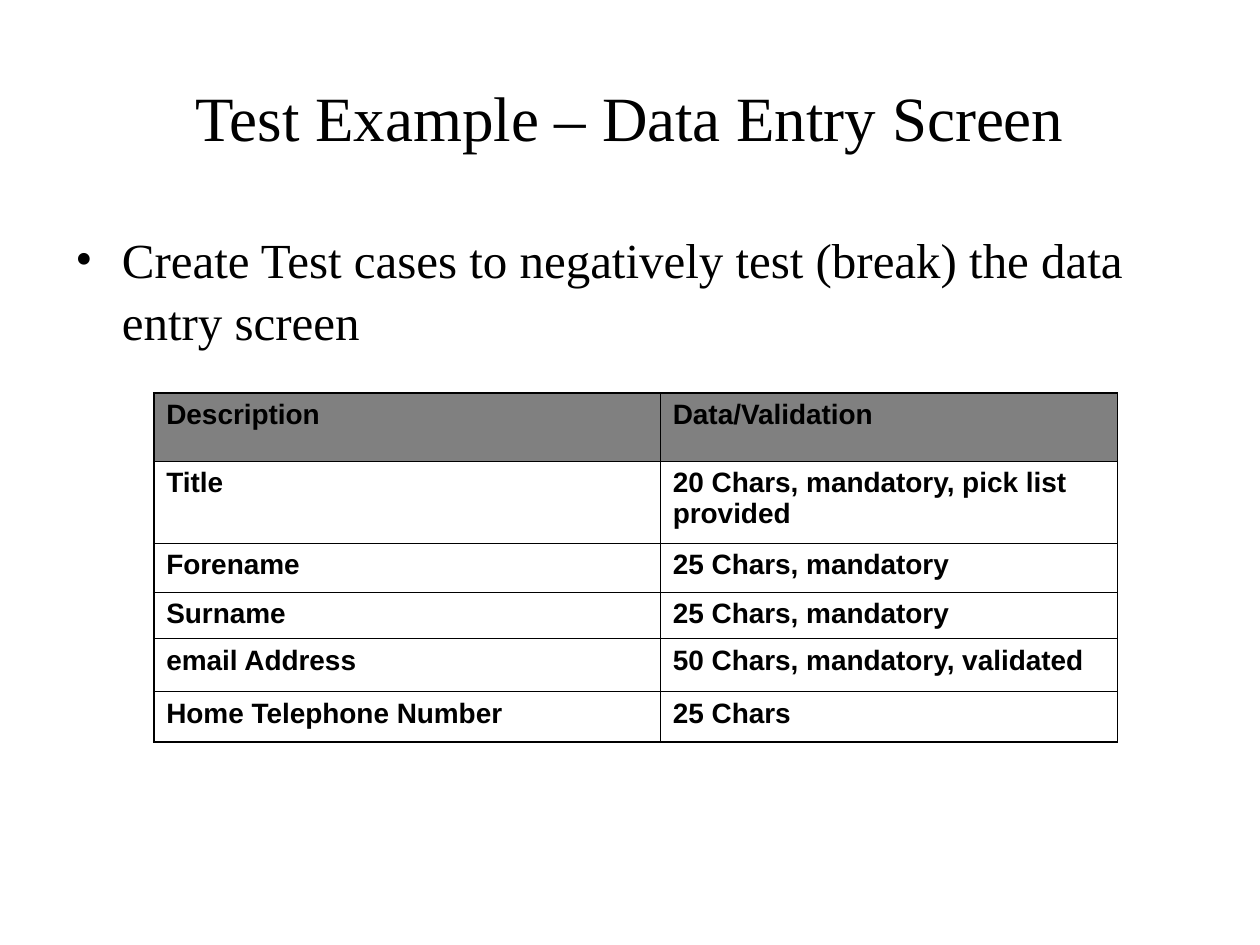
from lxml import etree
from pptx import Presentation
from pptx.dml.color import RGBColor
from pptx.enum import text
from pptx.oxml.ns import qn
from pptx.util import Inches, Pt

BLACK = RGBColor(0, 0, 0)
GREY = RGBColor(0x80, 0x80, 0x80)
WHITE = RGBColor(0xFF, 0xFF, 0xFF)

TITLE = "Test Example – Data Entry Screen"
TASK = "Create Test cases to negatively test (break) the data entry screen"
ROWS = [
    ("Description", "Data/Validation"),
    ("Title", "20 Chars, mandatory, pick list provided"),
    ("Forename", "25 Chars, mandatory"),
    ("Surname", "25 Chars, mandatory"),
    ("email Address", "50 Chars, mandatory, validated"),
    ("Home Telephone Number", "25 Chars"),
]
COLUMN_WIDTHS = [4.02, 3.63]
ROW_HEIGHTS = [0.54, 0.65, 0.39, 0.37, 0.42, 0.4]
OUTER_LINE, INNER_LINE = Pt(1.08), Pt(0.45)


def format_runs(paragraph, font_name, size, bold=False):
    for run in paragraph.runs:
        run.font.name = font_name
        run.font.size = Pt(size)
        run.font.bold = bold
        run.font.color.rgb = BLACK


def add_text(slide, content, top, height, size):
    box = slide.shapes.add_textbox(Inches(0.5), Inches(top), Inches(9), Inches(height))
    frame = box.text_frame
    frame.word_wrap = True
    frame.text = content
    paragraph = frame.paragraphs[0]
    format_runs(paragraph, "Times New Roman", size)
    return frame, paragraph


def add_bullet(paragraph):
    properties = paragraph._p.get_or_add_pPr()
    properties.set("marL", str(Inches(0.37)))
    properties.set("indent", str(-Inches(0.37)))
    etree.SubElement(properties, qn("a:buFont"), typeface="Times New Roman")
    etree.SubElement(properties, qn("a:buChar"), char="•")


def set_borders(cell, widths):
    """Draw black borders, widths given in the order left, right, top, bottom."""
    properties = cell._tc.get_or_add_tcPr()
    for position, (side, width) in enumerate(zip("LRTB", widths)):
        line = etree.Element(qn(f"a:ln{side}"), w=str(width))
        fill = etree.SubElement(line, qn("a:solidFill"))
        etree.SubElement(fill, qn("a:srgbClr"), val=str(BLACK))
        properties.insert(position, line)


def add_field_table(slide):
    table = slide.shapes.add_table(
        len(ROWS), len(COLUMN_WIDTHS), Inches(1.22), Inches(3.12),
        Inches(sum(COLUMN_WIDTHS)), Inches(sum(ROW_HEIGHTS))).table
    for column, width in zip(table.columns, COLUMN_WIDTHS):
        column.width = Inches(width)
    last_row, last_column = len(ROWS) - 1, len(COLUMN_WIDTHS) - 1
    for r, values in enumerate(ROWS):
        table.rows[r].height = Inches(ROW_HEIGHTS[r])
        for c, value in enumerate(values):
            cell = table.cell(r, c)
            cell.text_frame.text = value
            paragraph = cell.text_frame.paragraphs[0]
            paragraph.space_before = Pt(4)
            format_runs(paragraph, "Arial", 16, bold=True)
            cell.fill.solid()
            cell.fill.fore_color.rgb = GREY if r == 0 else WHITE
            at_edge = (c == 0, c == last_column, r == 0, r == last_row)
            set_borders(cell, [OUTER_LINE if edge else INNER_LINE for edge in at_edge])


def main():
    presentation = Presentation()
    presentation.slide_width, presentation.slide_height = Inches(10), Inches(7.5)
    slide = presentation.slides.add_slide(presentation.slide_layouts[6])

    frame, paragraph = add_text(slide, TITLE, 0.3, 1.25, 36)
    frame.vertical_anchor = text.MSO_ANCHOR.MIDDLE
    paragraph.alignment = text.PP_ALIGN.CENTER

    _, paragraph = add_text(slide, TASK, 1.75, 1.37, 28)
    paragraph.space_before = Pt(8)
    paragraph.line_spacing = 1.05
    add_bullet(paragraph)

    add_field_table(slide)
    presentation.save("out.pptx")


if __name__ == "__main__":
    main()
